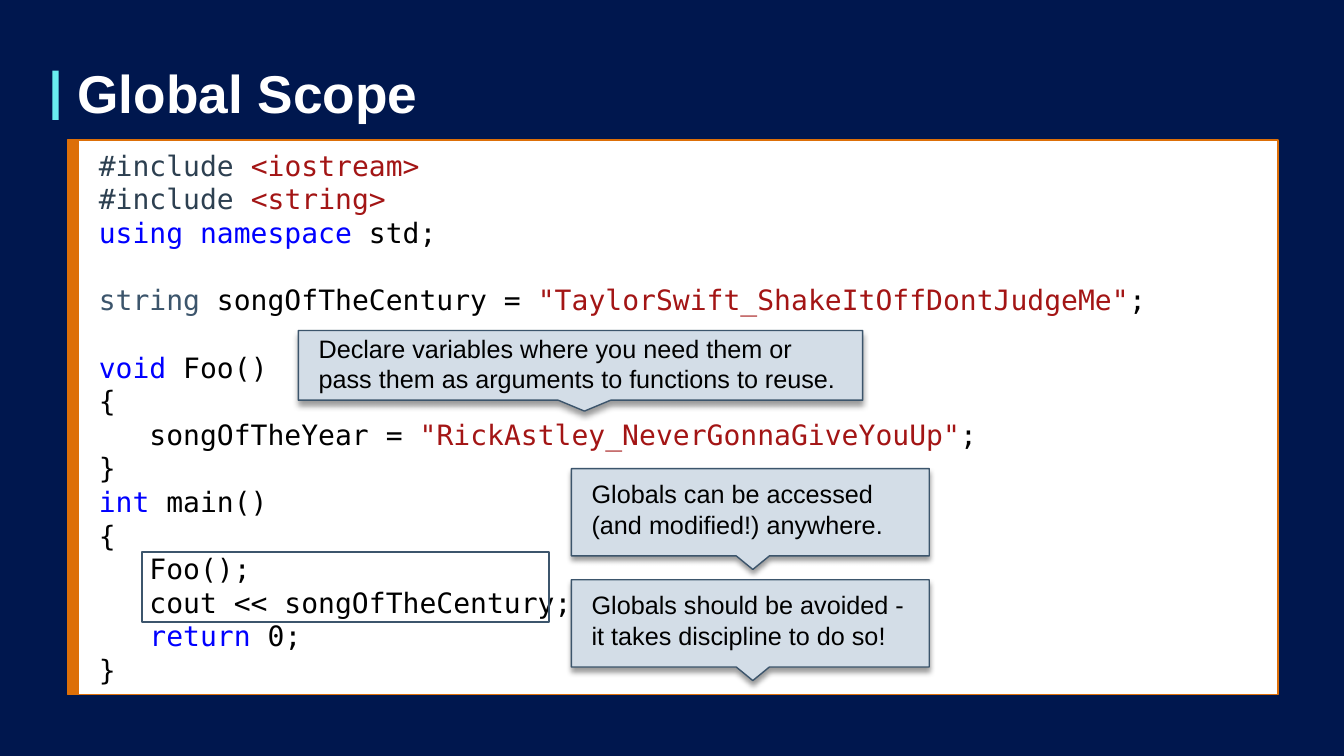
from dataclasses import dataclass

from lxml import etree
from pptx import Presentation
from pptx.dml.color import RGBColor
from pptx.enum.shapes import MSO_SHAPE
from pptx.enum.text import MSO_ANCHOR, MSO_AUTO_SIZE, PP_ALIGN
from pptx.oxml.ns import qn
from pptx.util import Cm, Pt

RECTANGLE = MSO_SHAPE.RECTANGLE
MIDDLE = MSO_ANCHOR.MIDDLE
LEFT = PP_ALIGN.LEFT
GROW = MSO_AUTO_SIZE.SHAPE_TO_FIT_TEXT
TITLE_ONLY = 5


@dataclass(frozen=True)
class Theme:
    background: str = "00174E"
    title: str = "FFFFFF"
    accent: str = "69EEF0"
    panel: str = "FFFFFF"
    stripe: str = "DD6F08"
    outline: str = "3C556C"
    callout: str = "D3DDE7"
    shadow: str = "000000"
    plain: str = "000000"
    directive: str = "2D4051"
    keyword: str = "0000FF"
    type_name: str = "3C556C"
    literal: str = "A31515"
    heading_font: str = "Arial"
    code_font: str = "DejaVu Sans Mono"
    title_size: int = 38
    code_size: int = 20
    code_pitch: int = 24
    callout_size: int = 18


THEME = Theme()
PLAIN, DIRECTIVE, KEYWORD = THEME.plain, THEME.directive, THEME.keyword
TYPE_NAME, LITERAL = THEME.type_name, THEME.literal

CODE_BLOCKS = [
    [
        [("#include ", DIRECTIVE), ("<iostream>", LITERAL)],
        [("#include ", DIRECTIVE), ("<string>", LITERAL)],
        [("using namespace", KEYWORD), (" std;", PLAIN)],
    ],
    [
        [("string ", TYPE_NAME), ("songOfTheCentury = ", PLAIN),
         ('"TaylorSwift_ShakeItOffDontJudgeMe"', LITERAL), (";", PLAIN)],
    ],
    [
        [("void", KEYWORD), (" Foo()", PLAIN)],
        [("{", PLAIN)],
        [("   songOfTheYear = ", PLAIN),
         ('"RickAstley_NeverGonnaGiveYouUp"', LITERAL), (";", PLAIN)],
        [("}", PLAIN)],
        [("int", KEYWORD), (" main()", PLAIN)],
        [("{", PLAIN)],
        [("   Foo();", PLAIN)],
        [("   cout << songOfTheCentury;", PLAIN)],
        [("   return", KEYWORD), (" 0;", PLAIN)],
        [("}", PLAIN)],
    ],
]

CALLOUTS = [
    ("Globals can be accessed (and modified!) anywhere.", (14.4, 11.81, 9.02, 2.54), 0.64),
    ("Globals should be avoided - it takes discipline to do so!", (14.4, 14.61, 9.02, 2.54), 0.64),
    ("Declare variables where you need them or pass them as arguments to functions to reuse.",
     (7.52, 8.33, 14.22, 2.03), 0.51),
]


def set_format(target, values):
    for name, value in values.items():
        setattr(target, name, value)


def style_font(font, face, size, color, bold=False):
    set_format(font, {"name": face, "size": Pt(size), "bold": bold})
    font.color.rgb = RGBColor.from_string(color)


def style_surface(shape, fill, line, width):
    shape.shadow.inherit = False
    if fill:
        shape.fill.solid()
        shape.fill.fore_color.rgb = RGBColor.from_string(fill)
    else:
        shape.fill.background()
    if line:
        shape.line.color.rgb = RGBColor.from_string(line)
        shape.line.width = Pt(width)
    else:
        shape.line.fill.background()


def set_frame(frame, left, top, right, bottom):
    set_format(frame, {
        "word_wrap": True, "vertical_anchor": MIDDLE,
        "margin_left": Cm(left), "margin_top": Cm(top),
        "margin_right": Cm(right), "margin_bottom": Cm(bottom),
    })


def add_box(slide, place, fill=None, line=None, width=1):
    box = slide.shapes.add_shape(RECTANGLE, *map(Cm, place))
    style_surface(box, fill, line, width)
    return box


def add_title(slide, wording):
    title = slide.shapes.title
    bounds = map(Cm, (1.7, 1.55, 30.23, 1.73))
    set_format(title, dict(zip(("left", "top", "width", "height"), bounds)))
    title.text_frame.text = wording
    set_format(title.text_frame, {"vertical_anchor": MIDDLE, "auto_size": GROW})
    heading = title.text_frame.paragraphs[0]
    set_format(heading, {"alignment": LEFT, "line_spacing": 0.9})
    style_font(heading.runs[0].font, THEME.heading_font, THEME.title_size, THEME.title, True)


def add_code(slide, place, blocks):
    panel = add_box(slide, place, THEME.panel, THEME.stripe)
    frame = panel.text_frame
    set_frame(frame, 0.51, 0.51, 0.51, 0.51)
    for block_number, block in enumerate(blocks):
        for line_number, tokens in enumerate(block):
            first = block_number == line_number == 0
            code_line = frame.paragraphs[0] if first else frame.add_paragraph()
            set_format(code_line, {"alignment": LEFT, "line_spacing": Pt(THEME.code_pitch)})
            if block_number and line_number == 0:
                code_line.space_before = Pt(THEME.code_pitch)
            for wording, color in tokens:
                token = code_line.add_run()
                token.text = wording
                style_font(token.font, THEME.code_font, THEME.code_size, color)


def add_shadow(shape):
    effects = shape._element.spPr.find(qn("a:effectLst"))
    shadow = etree.SubElement(effects, qn("a:outerShdw"), {
        "blurRad": str(Pt(4)), "dist": str(Pt(3)), "dir": "5400000",
        "algn": "t", "rotWithShape": "0",
    })
    color = etree.SubElement(shadow, qn("a:srgbClr"), val=THEME.shadow)
    etree.SubElement(color, qn("a:alpha"), val="40000")


def add_callout(slide, wording, place, bottom_margin):
    left, top, width, height = place
    right, shoulder = left + width, top + height * 0.865
    tip, half = left + width * 0.507, width * 0.0465
    outline = [
        (right, top), (right, shoulder), (tip + half, shoulder),
        (tip, top + height), (tip - half, shoulder), (left, shoulder),
    ]
    builder = slide.shapes.build_freeform(Cm(left), Cm(top))
    builder.add_line_segments([(Cm(x), Cm(y)) for x, y in outline], close=True)
    callout = builder.convert_to_shape()
    style_surface(callout, THEME.callout, THEME.outline, 1)
    add_shadow(callout)
    set_frame(callout.text_frame, 0.51, 0.13, 0.51, bottom_margin)
    advice = callout.text_frame.paragraphs[0]
    advice.alignment = LEFT
    advice.text = wording
    style_font(advice.runs[0].font, THEME.heading_font, THEME.callout_size, THEME.plain)


def main():
    deck = Presentation()
    set_format(deck, {"slide_width": Cm(33.87), "slide_height": Cm(19.05)})
    slide = deck.slides.add_slide(deck.slide_layouts[TITLE_ONLY])
    slide.background.fill.solid()
    slide.background.fill.fore_color.rgb = RGBColor.from_string(THEME.background)
    add_box(slide, (1.32, 1.78, 0.16, 1.24), THEME.accent)
    add_title(slide, "Global Scope")
    add_code(slide, (1.98, 3.53, 30.23, 13.97), CODE_BLOCKS)
    add_box(slide, (1.7, 3.53, 0.28, 13.97), THEME.stripe, THEME.stripe)
    add_box(slide, (3.58, 13.92, 10.26, 1.75), line=THEME.outline, width=1.5)
    for wording, place, bottom_margin in CALLOUTS:
        add_callout(slide, wording, place, bottom_margin)
    deck.save("out.pptx")


if __name__ == "__main__":
    main()
